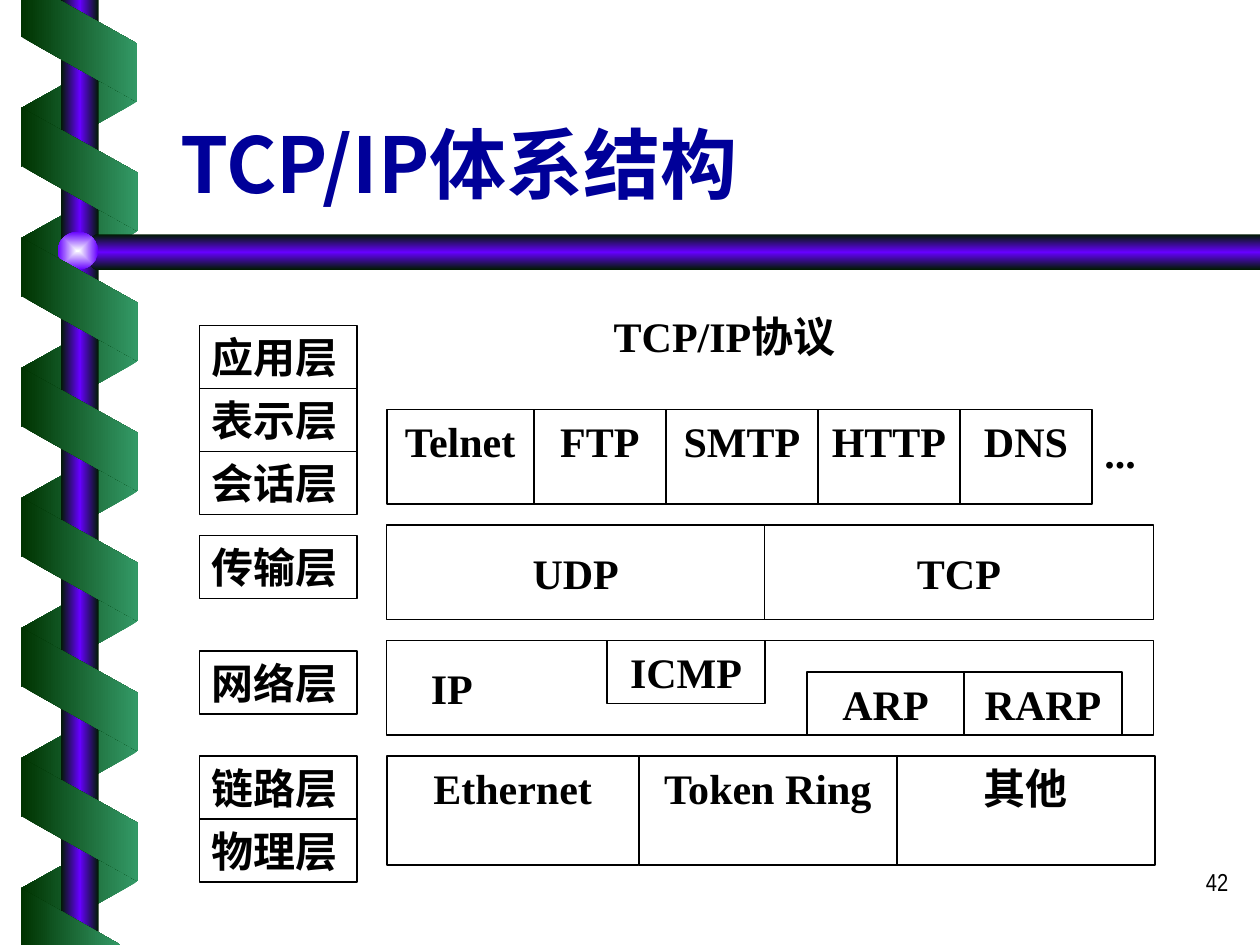
from itertools import accumulate

from lxml import etree
from pptx import Presentation
from pptx.dml.color import RGBColor
from pptx.enum import shapes, text
from pptx.oxml import ns
from pptx.util import Pt

BLACK = RGBColor(0x00, 0x00, 0x00)
NAVY = RGBColor(0x00, 0x00, 0x99)
PINE = RGBColor(0x00, 0x33, 0x00)
JADE = RGBColor(0x33, 0x99, 0x66)
NIGHT = RGBColor(0x00, 0x1A, 0x00)
VIOLET = RGBColor(0x66, 0x00, 0xFF)
GLINT = RGBColor(0xFE, 0xFF, 0xFF)

SERIF = "Times New Roman"
HAN = "Noto Sans CJK SC"
LEFT, CENTER, RIGHT = text.PP_ALIGN.LEFT, text.PP_ALIGN.CENTER, text.PP_ALIGN.RIGHT
TOP, MIDDLE, BOTTOM = text.MSO_ANCHOR.TOP, text.MSO_ANCHOR.MIDDLE, text.MSO_ANCHOR.BOTTOM
PRESET = shapes.MSO_SHAPE


def paint_gradient(shape, colors, angle=0, radial=False):
    shape.shadow.inherit = False
    shape.line.fill.background()
    shape.fill.gradient()
    old = shape._element.spPr.find(ns.qn("a:gradFill"))
    gradient = etree.Element(ns.qn("a:gradFill"), rotWithShape="0")
    stops = etree.SubElement(gradient, ns.qn("a:gsLst"))
    for i, color in enumerate(colors):
        position = 100000 * i // (len(colors) - 1)
        stop = etree.SubElement(stops, ns.qn("a:gs"), pos=str(position))
        etree.SubElement(stop, ns.qn("a:srgbClr"), val=str(color))
    if radial:
        focus = etree.SubElement(gradient, ns.qn("a:path"), path="rect")
        etree.SubElement(focus, ns.qn("a:fillToRect"), l="50000", t="50000", r="50000", b="50000")
    else:
        etree.SubElement(gradient, ns.qn("a:lin"), ang=str(angle * 60000), scaled="0")
    old.getparent().replace(old, gradient)


def add_preset(slide, kind, left, top, width, height):
    return slide.shapes.add_shape(kind, Pt(left), Pt(top), Pt(width), Pt(height))


def add_polygon(slide, points):
    start, *rest = [(Pt(x), Pt(y)) for x, y in points]
    builder = slide.shapes.build_freeform(*start, scale=1.0)
    builder.add_line_segments(rest, close=True)
    return builder.convert_to_shape()


def write(shape, words, size=24, font=SERIF, color=BLACK, bold=True, align=CENTER, anchor=TOP, indent=0):
    frame = shape.text_frame
    frame.text = words
    frame.word_wrap = True
    frame.vertical_anchor = anchor
    frame.margin_left = Pt(7.2 + indent)
    paragraph = frame.paragraphs[0]
    paragraph.alignment = align
    for run in paragraph.runs:
        run.font.name = font
        run.font.size = Pt(size)
        run.font.bold = bold
        run.font.color.rgb = color
        etree.SubElement(run._r.get_or_add_rPr(), ns.qn("a:ea"), typeface=HAN)


def add_label(slide, words, left, top, width, height, **style):
    label = slide.shapes.add_textbox(Pt(left), Pt(top), Pt(width), Pt(height))
    write(label, words, **style)


def add_box(slide, words, left, top, width, height, border=1, **style):
    box = add_preset(slide, PRESET.RECTANGLE, left, top, width, height)
    box.shadow.inherit = False
    box.fill.background()
    box.line.color.rgb = BLACK
    box.line.width = Pt(border)
    write(box, words, **style)


def add_row(slide, words, left, top, widths, height, **style):
    for word, offset, width in zip(words, accumulate(widths, initial=0), widths):
        add_box(slide, word, left + offset, top, width, height, **style)


def add_twist(slide, left, top, rotation, colors, flipped=False):
    twist = add_preset(slide, PRESET.PARALLELOGRAM, left, top, 70.6, 66.6)
    twist.adjustments[0] = 0.56
    twist.rotation = rotation
    if flipped:
        twist._element.spPr.xfrm.set("flipH", "1")
    paint_gradient(twist, colors)


def draw_ribbon_pole(slide, left, top, width, height):
    pitch = 74.3
    for i in range(7):
        add_twist(slide, left, top + 26.6 + i * pitch, 90, (JADE, PINE), flipped=True)

    pole = add_preset(slide, PRESET.RECTANGLE, left + 24.8, top, 21.6, height)
    paint_gradient(pole, (NIGHT, VIOLET, NIGHT))
    edge, tip, shoulder = left + width, left + 33, left + 44.6
    beam = add_polygon(slide, [(edge, top + 134), (shoulder, top + 134), (tip, top + 144),
                               (shoulder, top + 154.2), (edge, top + 154.2)])
    paint_gradient(beam, (NIGHT, VIOLET, NIGHT), angle=90)
    knob = add_preset(slide, PRESET.OVAL, left + 23, top + 132.5, 23, 21.6)
    paint_gradient(knob, (GLINT, VIOLET), radial=True)

    for i in range(6):
        add_twist(slide, left, top + 63.4 + i * pitch, 270, (PINE, JADE))
    near, far, bottom = left + 2.1, left + 68.5, top + height
    upper = [(near, top), (near, top + 21), (far, top + 58.3), (far, top + 25), (left + 24, top)]
    lower = [(left + 59, bottom), (near, bottom - 32.4), (near, bottom)]
    for outline in (upper, lower):
        paint_gradient(add_polygon(slide, outline), (PINE, JADE))


def draw_osi_layers(slide, left, top, width, height):
    layers = [("应用层", 0), ("表示层", 36), ("会话层", 72), ("传输层", 120),
              ("网络层", 186), ("链路层", 246), ("物理层", 282)]
    for layer, offset in layers:
        add_box(slide, layer, left, top + offset, width, height, align=LEFT)


def draw_protocols(slide, left, top, width):
    add_label(slide, "TCP/IP协议", left + 109, top, 168, 36)
    add_row(slide, ["Telnet", "FTP", "SMTP", "HTTP", "DNS"], left, top + 60,
            [84, 75.5, 87, 81, 75.5], 54)
    add_label(slide, "...", left + 403, top + 66, 36, 36, align=LEFT)
    add_row(slide, ["UDP", "TCP"], left, top + 126, [216, width - 216], 54,
            border=0.75, anchor=MIDDLE)
    add_box(slide, "IP", left, top + 192, width, 54, border=0.75, align=LEFT,
            anchor=MIDDLE, indent=18)
    add_box(slide, "ICMP", left + 126, top + 192, 90, 36)
    add_row(slide, ["ARP", "RARP"], left + 240, top + 210, [90, 90], 36)
    add_row(slide, ["Ethernet", "Token Ring", "其他"], left, top + 258, [144, 147.5, 147.5], 62.5)


def main():
    deck = Presentation()
    deck.slide_width, deck.slide_height = Pt(720), Pt(540)
    slide = deck.slides.add_slide(deck.slide_layouts[6])
    draw_ribbon_pole(slide, 10, 0, 710, 540)
    add_label(slide, "42", 559, 492, 150, 36, size=14, font="Arial Narrow", bold=False, align=RIGHT)
    add_label(slide, "TCP/IP体系结构", 96, 33, 612, 90, size=44, font=HAN, color=NAVY,
              align=LEFT, anchor=BOTTOM)
    draw_protocols(slide, 221, 174, 438)
    draw_osi_layers(slide, 114, 186, 90, 36)
    deck.save("out.pptx")


if __name__ == "__main__":
    main()
